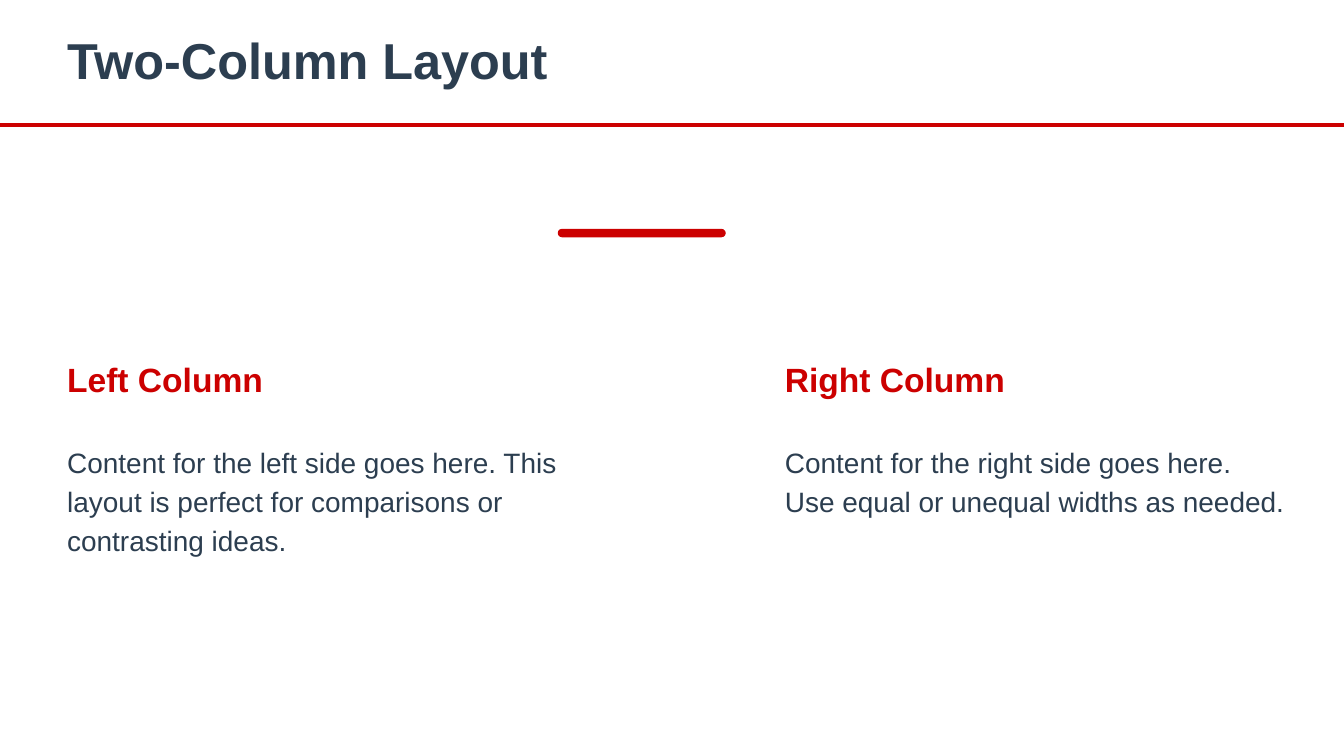
from lxml import etree
from pptx import Presentation
from pptx.dml.color import RGBColor
from pptx.enum.shapes import MSO_CONNECTOR, MSO_SHAPE
from pptx.oxml.ns import qn
from pptx.util import Pt

RECT = MSO_SHAPE.RECTANGLE
ROUND = MSO_SHAPE.ROUNDED_RECTANGLE
LINE = MSO_CONNECTOR.STRAIGHT

TITLE = "Two-Column Layout"
COLUMNS = [
    ("Left Column",
     "Content for the left side goes here. This layout is perfect for "
     "comparisons or contrasting ideas."),
    ("Right Column",
     "Content for the right side goes here. Use equal or unequal widths "
     "as needed."),
]

THEME = {
    "font": "Arial",
    "ink": RGBColor.from_string("2C3E50"),
    "red": RGBColor.from_string("CC0000"),
    "white": RGBColor.from_string("FFFFFF"),
    "title": {"size": 27, "lead": 30, "bold": True},
    "head": {"size": 18, "lead": 24, "bold": True, "color": "red"},
    "body": {"size": 15, "lead": 21, "after": 3},
}

WIDTH, HEIGHT = 720, 405
MARGIN = 36
STEP = 384.5
RULE = 67

deck = Presentation()
deck.slide_width, deck.slide_height = Pt(WIDTH), Pt(HEIGHT)
slide = deck.slides.add_slide(deck.slide_layouts[6])
slide.background.fill.solid()
slide.background.fill.fore_color.rgb = THEME["white"]


def add_text(text, box, size, lead, bold=False, color="ink", after=0):
    frame = slide.shapes.add_textbox(*map(Pt, box)).text_frame
    frame.word_wrap = True
    frame.margin_left = frame.margin_right = 0
    frame.margin_top = frame.margin_bottom = 0
    para = frame.paragraphs[0]
    para.line_spacing = Pt(lead)
    para.space_after = Pt(after)
    run = para.add_run()
    run.text = text
    run.font.name = THEME["font"]
    run.font.size = Pt(size)
    run.font.bold = bold
    run.font.color.rgb = THEME[color]


def add_block(kind, box, color):
    shape = slide.shapes.add_shape(kind, *map(Pt, box))
    shape.shadow.inherit = False
    shape.fill.solid()
    shape.fill.fore_color.rgb = THEME[color]
    shape.line.fill.background()
    return shape


accent = add_block(ROUND, (298.8, 122.6, 90, 4.5), "red")
accent.adjustments[0] = 0.5
add_block(RECT, (0, 0, WIDTH, 68.25), "white")

rule = slide.shapes.add_connector(LINE, 0, Pt(RULE), Pt(WIDTH), Pt(RULE))
rule.line.color.rgb = THEME["red"]
rule.line.width = Pt(2.25)
etree.SubElement(rule._element.spPr, qn("a:effectLst"))

add_text(TITLE, (MARGIN, 18, 331, 30), **THEME["title"])
for i, (head, body) in enumerate(COLUMNS):
    left = MARGIN + i * STEP
    add_text(head, (left, 190, 135, 24), **THEME["head"])
    add_text(body, (left, 235.5, 269, 63), **THEME["body"])

deck.save("out.pptx")
